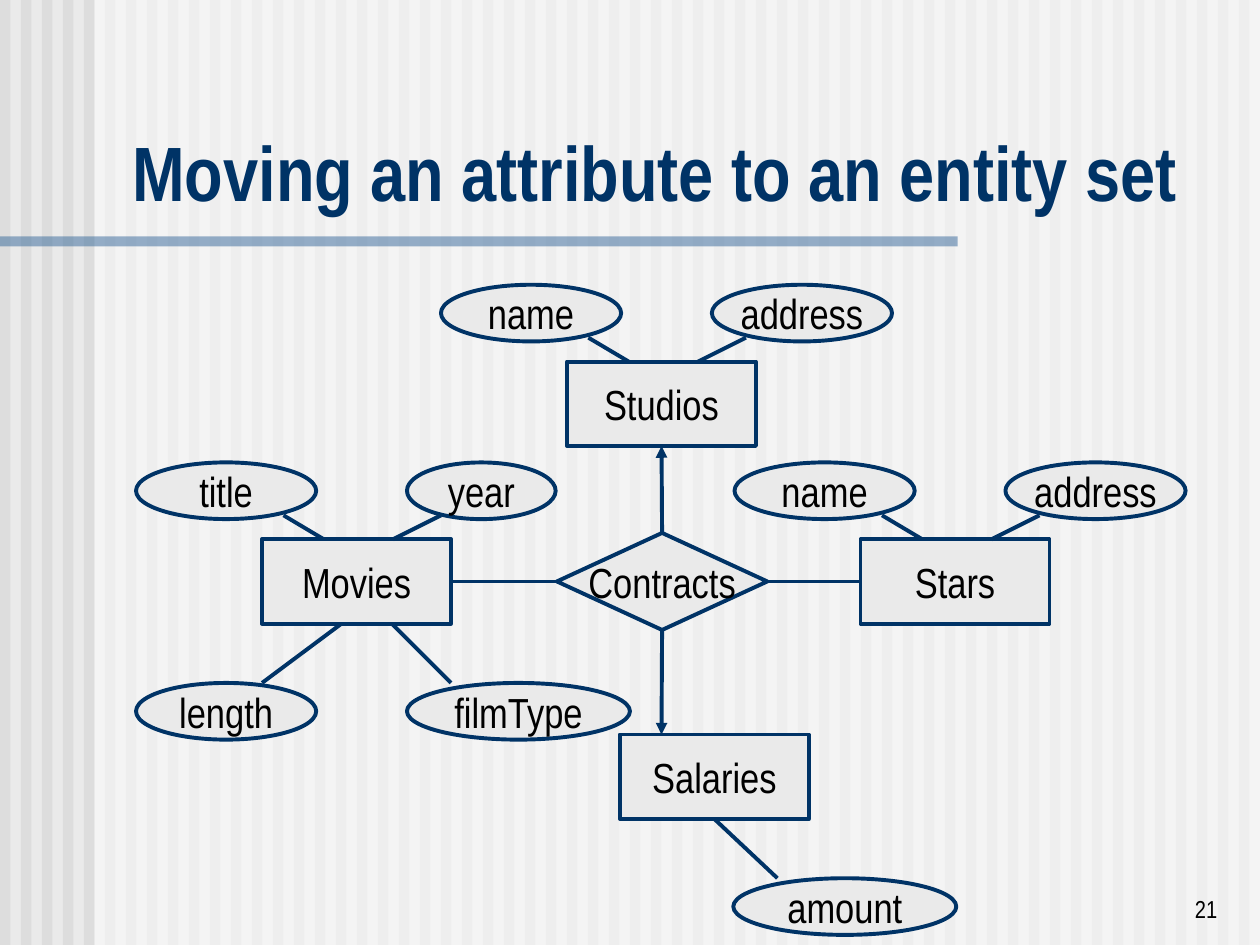
from lxml.etree import SubElement
from pptx import Presentation
from pptx.dml.color import RGBColor
from pptx.enum.shapes import MSO_CONNECTOR, MSO_SHAPE as SHAPE
from pptx.enum.text import MSO_ANCHOR as ANCHOR, MSO_AUTO_SIZE, PP_ALIGN as ALIGN
from pptx.oxml.ns import qn
from pptx.util import Inches, Pt

WIDTH, HEIGHT = 10, 7.5
NAVY, GRAY = "003366", "EAEAEA"
FONT = "Arial Narrow"
TOP, LEFT, BOTTOM, RIGHT = range(4)
ENTITY_W, ENTITY_H = 1.5, 0.67
ATTRIBUTE_W, ATTRIBUTE_H = 1.43, 0.45

# Offsets from the entity's corner: attribute corner, line start, line end
SLOTS = {
    "upper left": ((-1, -0.61), (0.17, -0.19), (0.49, 0)),
    "upper right": ((1.15, -0.61), (1.42, -0.19), (1.04, 0)),
    "lower left": ((-1, 1.14), (0, 1.14), (0.63, ENTITY_H)),
    "lower right": ((1.15, 1.14), (1.5, 1.14), (1.03, ENTITY_H)),
    "below": ((0.9, 1.14), (1.25, 1.14), (ENTITY_W / 2, ENTITY_H)),
}

# Entity: corner and attributes as (slot, name, width)
ENTITIES = {
    "Movies": ((2.08, 4.28), [("lower left", "length", ATTRIBUTE_W),
                              ("lower right", "filmType", 1.77),
                              ("upper left", "title", ATTRIBUTE_W),
                              ("upper right", "year", 1.18)]),
    "Stars": ((6.83, 4.28), [("upper left", "name", ATTRIBUTE_W),
                             ("upper right", "address", ATTRIBUTE_W)]),
    "Studios": ((4.5, 2.87), [("upper left", "name", ATTRIBUTE_W),
                              ("upper right", "address", ATTRIBUTE_W)]),
    "Salaries": ((4.92, 5.83), [("below", "amount", 1.77)]),
}


def rgb(color):
    return RGBColor.from_string(color)


def shifted(corner, offset):
    return corner[0] + offset[0], corner[1] + offset[1]


def write(frame, text, size, color="000000", align=ALIGN.CENTER, bold=False):
    frame.text = text
    paragraph = frame.paragraphs[0]
    paragraph.alignment = align
    font = paragraph.runs[0].font
    font.name, font.size, font.bold = FONT, Pt(size), bold
    font.color.rgb = rgb(color)


def add_band(slide, left, top, width, height, color, opacity=100):
    band = slide.shapes.add_shape(SHAPE.RECTANGLE, *map(Inches, (left, top, width, height)))
    band.shadow.inherit = False
    band.line.fill.background()
    band.fill.solid()
    band.fill.fore_color.rgb = rgb(color)
    if opacity < 100:
        fill_color = band.fill._xPr.find(".//" + qn("a:srgbClr"))
        SubElement(fill_color, qn("a:alpha"), val=str(opacity * 1000))


def add_node(slide, kind, text, corner, width, height):
    node = slide.shapes.add_shape(kind, *map(Inches, (*corner, width, height)))
    node.shadow.inherit = False
    node.fill.solid()
    node.fill.fore_color.rgb = rgb(GRAY)
    node.line.color.rgb = rgb(NAVY)
    node.line.width = Pt(2.25)
    node.text_frame.word_wrap = False
    node.text_frame.vertical_anchor = ANCHOR.MIDDLE
    write(node.text_frame, text, 24)
    return node


def add_line(slide, start=(0, 0), end=(0, 0), arrow=False):
    line = slide.shapes.add_connector(MSO_CONNECTOR.STRAIGHT, *map(Inches, (*start, *end)))
    line.line.color.rgb = rgb(NAVY)
    line.line.width = Pt(2.25)
    if arrow:
        SubElement(line.line._get_or_add_ln(), qn("a:tailEnd"), type="triangle")
    SubElement(line.element.spPr, qn("a:effectLst"))
    return line


def add_entity(slide, name, corner, attributes):
    """Add an entity set with its attributes and return its rectangle."""
    entity = add_node(slide, SHAPE.RECTANGLE, name, corner, ENTITY_W, ENTITY_H)
    for slot, attribute, width in attributes:
        place, start, end = (shifted(corner, offset) for offset in SLOTS[slot])
        add_node(slide, SHAPE.OVAL, attribute, place, width, ATTRIBUTE_H)
        line = add_line(slide, start, end)
        if slot == "below":
            line.end_connect(entity, BOTTOM)
    return entity


def add_contracts(slide, entities):
    """Add the relationship and join it to the four entity sets."""
    contracts = add_node(slide, SHAPE.DIAMOND, "Contracts", (4.42, 4.23), 1.67, 0.77)
    for name, side, entity_side, arrow in (("Movies", LEFT, RIGHT, False),
                                           ("Stars", RIGHT, LEFT, False),
                                           ("Studios", TOP, BOTTOM, True)):
        line = add_line(slide, arrow=arrow)
        line.begin_connect(contracts, side)
        line.end_connect(entities[name], entity_side)
    salaries_line = add_line(slide, (5.25, 5), (5.25, 5.83), arrow=True)
    salaries_line.begin_connect(contracts, BOTTOM)


def add_backdrop(slide):
    slide.background.fill.solid()
    slide.background.fill.fore_color.rgb = rgb(GRAY)
    stripes = 60
    pitch = WIDTH / stripes
    for column in range(stripes):
        add_band(slide, column * pitch, 0, pitch / 2, HEIGHT, "DDDDDD")
    add_band(slide, 0.75, 0, WIDTH - 0.75, HEIGHT, "FFFFFF", 50)
    add_band(slide, 0, HEIGHT / 4, 7.6, 0.08, "336699", 50)


def set_title(slide, text):
    title = slide.shapes.title
    slide.shapes.element.append(title.element)  # in front of the backdrop
    title.left, title.top, title.width, title.height = map(Inches, (0.95, 0.94, 8.93, 0.83))
    title.text_frame.auto_size = MSO_AUTO_SIZE.NONE
    title.text_frame.vertical_anchor = ANCHOR.BOTTOM
    write(title.text_frame, text, 44, NAVY, ALIGN.LEFT, bold=True)


def add_page_number(slide, number):
    box = slide.shapes.add_textbox(*map(Inches, (7.68, 6.88, 2.08, 0.5)))
    box.text_frame.word_wrap = True
    box.text_frame.vertical_anchor = ANCHOR.BOTTOM
    write(box.text_frame, number, 14, align=ALIGN.RIGHT)


def main():
    deck = Presentation()
    deck.slide_width, deck.slide_height = Inches(WIDTH), Inches(HEIGHT)
    slide = deck.slides.add_slide(deck.slide_layouts[5])
    add_backdrop(slide)
    set_title(slide, "Moving an attribute to an entity set")
    entities = {name: add_entity(slide, name, corner, attributes)
                for name, (corner, attributes) in ENTITIES.items()}
    add_contracts(slide, entities)
    add_page_number(slide, "21")
    deck.save("out.pptx")


if __name__ == "__main__":
    main()
